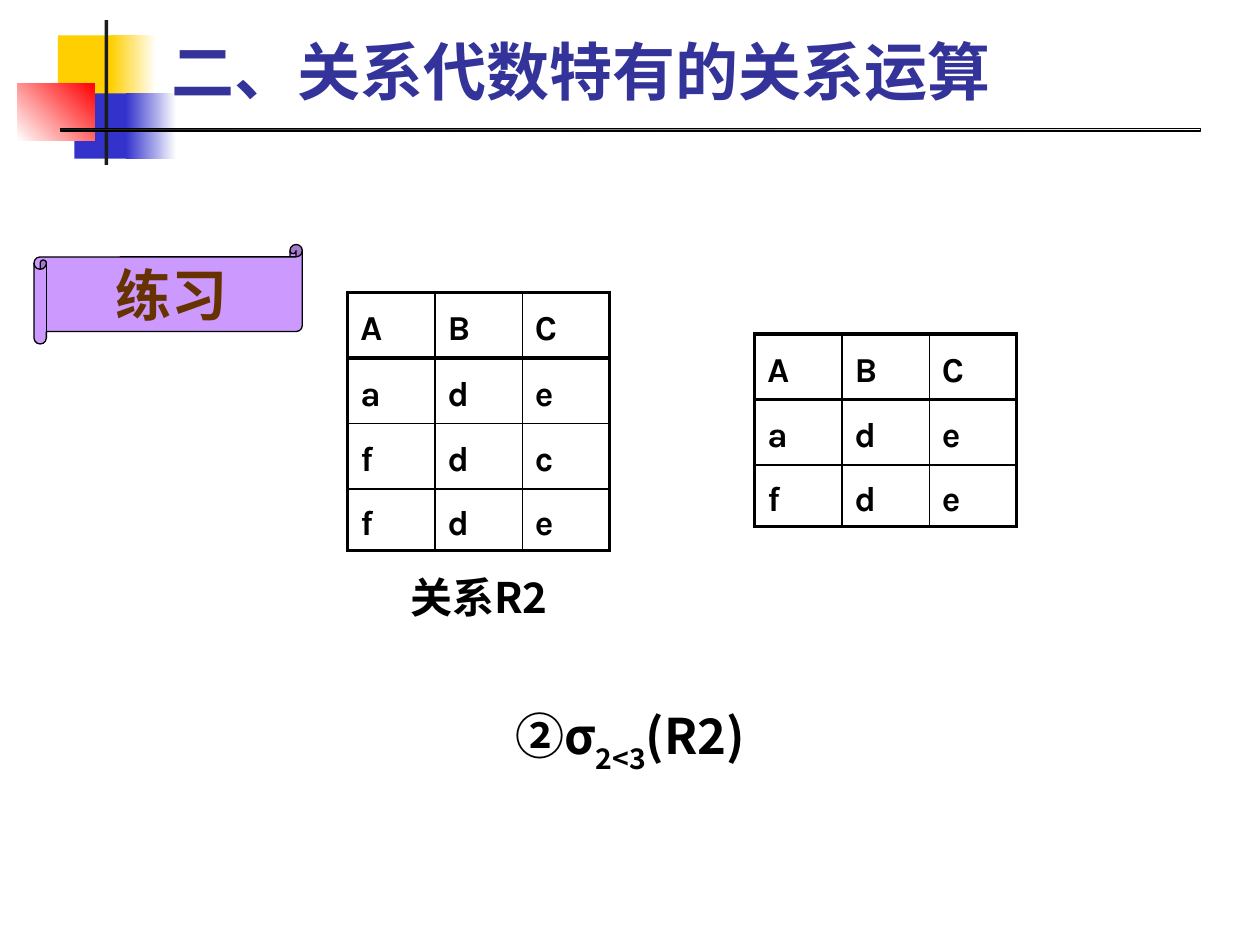
import pptx
import pptx.dml.color
import pptx.enum.shapes
import pptx.enum.text
import pptx.oxml
import pptx.oxml.ns
import pptx.util

RGB = pptx.dml.color.RGBColor
Pt = pptx.util.Pt
Shape = pptx.enum.shapes.MSO_SHAPE
Align = pptx.enum.text.PP_ALIGN
Anchor = pptx.enum.text.MSO_ANCHOR
Fit = pptx.enum.text.MSO_AUTO_SIZE

BLACK = RGB(0x00, 0x00, 0x00)
WHITE = RGB(0xFF, 0xFF, 0xFF)
INK = RGB(0x1C, 0x1C, 0x1C)
GOLD = RGB(0xFF, 0xCF, 0x01)
BLUE = RGB(0x33, 0x33, 0xCC)
RED = RGB(0xFF, 0x00, 0x00)
NAVY = RGB(0x33, 0x33, 0x99)
LILAC = RGB(0xCC, 0x99, 0xFF)
BROWN = RGB(0x66, 0x33, 0x00)

LATIN = "Karla"
HAN = "Noto Sans CJK SC"
COLS, ROWS = 100, 75
THICK, THIN = 2.25, 1


class Page:
    """Draws on one slide; places are columns and rows of a 100 by 75 grid."""

    def __init__(self, deck):
        self.slide = deck.slides.add_slide(deck.slide_layouts[5])
        self.shapes = self.slide.shapes
        self.col = deck.slide_width / COLS
        self.row = deck.slide_height / ROWS

    def place(self, x, y, w, h):
        return (round(x * self.col), round(y * self.row),
                round(w * self.col), round(h * self.row))

    def style(self, para, size, name, color=BLACK, align=Align.LEFT):
        para.alignment = align
        font = para.font
        font.size, font.name, font.bold = Pt(size), name, True
        font.color.rgb = color

    def title(self, text, *spot):
        box = self.shapes.title
        box.left, box.top, box.width, box.height = self.place(*spot)
        frame = box.text_frame
        frame.text = text
        frame.auto_size = Fit.NONE
        frame.vertical_anchor = Anchor.BOTTOM
        self.style(frame.paragraphs[0], 36, LATIN, NAVY)
        tree = box.element.getparent()
        tree.append(box.element)  # in front of the ornament

    def block(self, spot, fill, end=None, angle=0, line=None, kind=Shape.RECTANGLE):
        """A shape in one colour, or fading from fill to end."""
        item = self.shapes.add_shape(kind, *self.place(*spot))
        item.shadow.inherit = False
        if end is None:
            item.fill.solid()
            item.fill.fore_color.rgb = fill
        else:
            item.fill.gradient()
            item.fill.gradient_angle = angle
            for stop, color in zip(item.fill.gradient_stops, (fill, end)):
                stop.color.rgb = color
        if line is None:
            item.line.fill.background()
        else:
            item.line.color.rgb = line
            item.line.width = Pt(0.75)
        return item

    def scroll(self, text, *spot):
        item = self.block(spot, LILAC, line=BLACK, kind=Shape.HORIZONTAL_SCROLL)
        frame = item.text_frame
        frame.text = text
        frame.word_wrap = False
        frame.margin_left = frame.margin_right = 0
        frame.vertical_anchor = Anchor.MIDDLE
        self.style(frame.paragraphs[0], 32, "Arial", BROWN, Align.CENTER)

    def label(self, parts, size, spot, wrap=True, align=Align.LEFT):
        """A text box; every second part is a subscript."""
        frame = self.shapes.add_textbox(*self.place(*spot)).text_frame
        frame.word_wrap = wrap
        frame.auto_size = Fit.SHAPE_TO_FIT_TEXT
        para = frame.paragraphs[0]
        for i, part in enumerate(parts):
            run = para.add_run()
            run.text = part
            if i % 2:
                run.font._element.set("baseline", "-30000")
        self.style(para, size, HAN, align=align)

    def edge(self, cell, sides):
        """Border the cell with widths for left, right, top and bottom."""
        prop = cell._tc.get_or_add_tcPr()
        for i, (side, width) in enumerate(zip("LRTB", sides)):
            prop.insert(i, pptx.oxml.parse_xml(
                f'<a:ln{side} {pptx.oxml.ns.nsdecls("a")} w="{Pt(width)}">'
                f'<a:solidFill><a:srgbClr val="{BLACK}"/></a:solidFill>'
                f'</a:ln{side}>'))

    def relation(self, x, y, lines):
        """A table of one-letter cells with a heavy frame and header rule."""
        wide, tall, last = 6.93, 5.2, 4.6
        high, many = len(lines), len(lines[0])
        spot = self.place(x, y, wide * many, tall * (high - 1) + last)
        table = self.shapes.add_table(high, many, *spot).table
        table.first_row = table.horz_banding = False
        for r, line in enumerate(lines):
            table.rows[r].height = round(self.row * (last if r == high - 1 else tall))
            for c, text in enumerate(line):
                cell = table.cell(r, c)
                cell.text = text
                cell.vertical_anchor = Anchor.MIDDLE
                cell.fill.background()
                heavy = (c == 0, c == many - 1, r < 2, r in (0, high - 1))
                self.edge(cell, [THICK if h else THIN for h in heavy])
                para = cell.text_frame.paragraphs[0]
                para.line_spacing = 1.2
                self.style(para, 20, LATIN)

    def ornament(self):
        self.block((4.6, 2.8, 4.8, 5.2), GOLD)
        self.block((8.8, 2.8, 3.6, 5.2), GOLD, WHITE)
        self.block((5.9, 7.4, 4.6, 5.2), BLUE)
        self.block((10, 7.4, 4, 5.2), BLUE, WHITE)
        self.block((1.4, 6.6, 6.1, 4.6), WHITE, RED, 45)
        self.block((8.3, 1.6, 0.3, 11.5), INK)
        self.block((4.8, 10.2, 90.5, 0.2), INK, WHITE, line=BLACK)


def main():
    deck = pptx.Presentation()
    deck.slide_width = pptx.util.Inches(10)
    deck.slide_height = pptx.util.Inches(7.5)
    page = Page(deck)
    page.ornament()
    page.relation(59.9, 26.5, ["ABC", "ade", "fde"])
    page.title("二、关系代数特有的关系运算", 12.6, 2.3, 85.2, 6.8)
    page.relation(27.6, 23.2, ["ABC", "ade", "fdc", "fde"])
    page.label(["关系R2"], 24, (31.5, 44.9, 13, 5), align=Align.CENTER)
    page.label(["②σ", "2<3", "(R2)"], 28, (39.9, 55.5, 21.5, 5.7), wrap=False)
    page.scroll("练习", 2.7, 19.4, 21.3, 7.9)
    deck.save("out.pptx")


if __name__ == "__main__":
    main()
